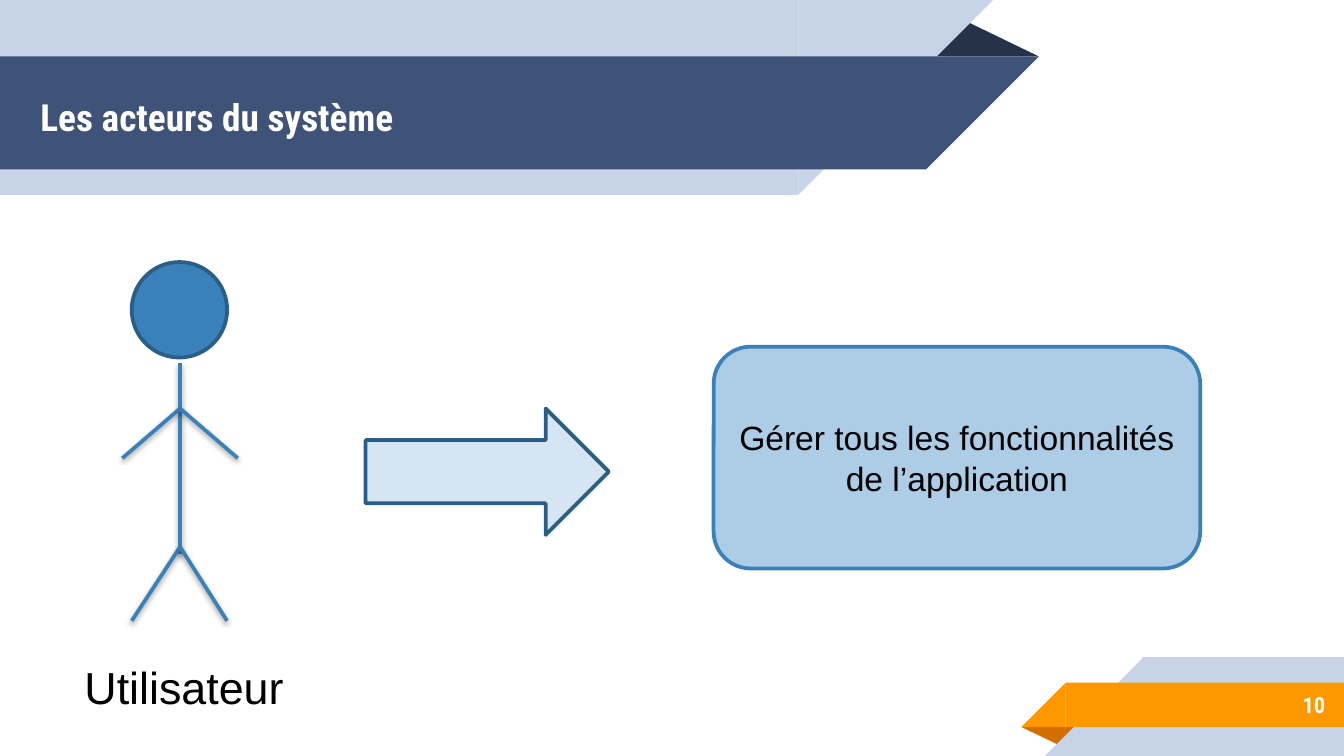
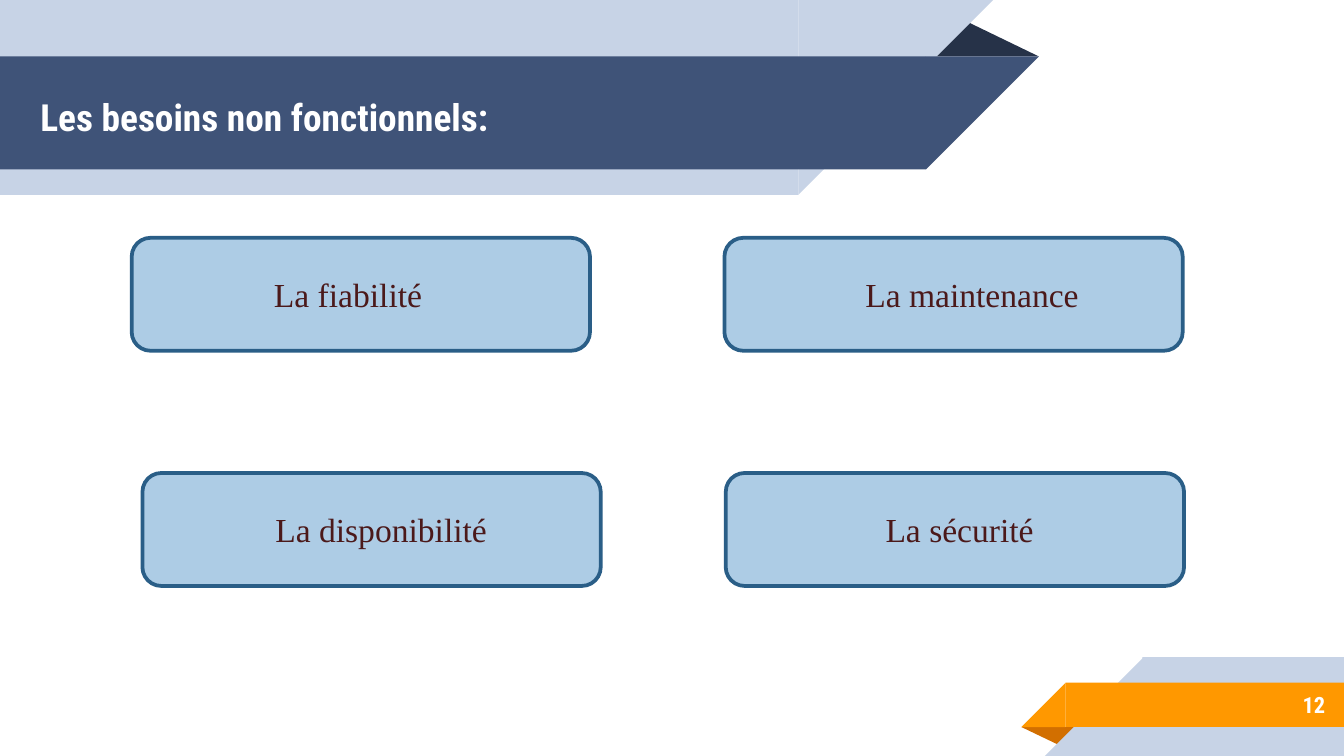
"""Build two slides on the actors and non-functional needs of a system."""
import pptx
import pptx.dml.color
import pptx.enum.shapes
import pptx.enum.text
import pptx.oxml
import pptx.oxml.ns
import pptx.util

Inches = pptx.util.Inches
Pt = pptx.util.Pt
RGBColor = pptx.dml.color.RGBColor
Shape = pptx.enum.shapes.MSO_SHAPE
Align = pptx.enum.text.PP_ALIGN
Anchor = pptx.enum.text.MSO_ANCHOR

WHITE = RGBColor(0xFF, 0xFF, 0xFF)
BLACK = RGBColor(0x00, 0x00, 0x00)
NAVY = RGBColor(0x3F, 0x53, 0x78)
DARK_NAVY = RGBColor(0x26, 0x32, 0x48)
PALE_BLUE = RGBColor(0xC7, 0xD3, 0xE6)
ORANGE = RGBColor(0xFF, 0x98, 0x00)
DARK_ORANGE = RGBColor(0xD2, 0x6F, 0x00)
BLUE = RGBColor(0x3A, 0x81, 0xBA)
DEEP_BLUE = RGBColor(0x2A, 0x5E, 0x87)
BOX_BLUE = RGBColor(0xAD, 0xCC, 0xE5)
ARROW_BLUE = RGBColor(0xD5, 0xE5, 0xF2)
MAROON = RGBColor(0x4B, 0x19, 0x1A)

HEADING_FONT = "Roboto Condensed"
BODY_FONT = "Arial"
NEED_FONT = "Times New Roman"

SLIDE_WIDTH = Inches(10)
SLIDE_HEIGHT = SLIDE_WIDTH * 9 // 16

FOLD_PEAK = 0.32
BANDS = [
    (Shape.ISOSCELES_TRIANGLE, (6.88, 0.14, 0.85, 0.28), DARK_NAVY, 0),
    (Shape.RECTANGLE, (0, 0, 5.94, 1.45), PALE_BLUE, 0),
    (Shape.RIGHT_TRIANGLE, (5.94, 0, 1.45, 1.45), PALE_BLUE, 90),
    (Shape.RECTANGLE, (0, 0.42, 6.89, 0.84), NAVY, 0),
    (Shape.RIGHT_TRIANGLE, (6.89, 0.42, 0.84, 0.84), NAVY, 90),
    (Shape.ISOSCELES_TRIANGLE, (7.6, 5.41, 0.43, 0.14), DARK_ORANGE, 180),
    (Shape.RECTANGLE, (8.5, 4.89, 1.5, 0.74), PALE_BLUE, 0),
    (Shape.RIGHT_TRIANGLE, (7.77, 4.89, 0.74, 0.74), PALE_BLUE, 270),
    (Shape.RECTANGLE, (7.93, 5.08, 2.07, 0.33), ORANGE, 0),
    (Shape.RIGHT_TRIANGLE, (7.6, 5.08, 0.33, 0.33), ORANGE, 270),
]

ACTORS_TITLE, ACTORS_NUMBER = "Les acteurs du système", "10"
ACTOR = "Utilisateur"
ACTOR_ROLE = ["Gérer tous les fonctionnalités", "de l’application"]
NECK, SHOULDER, HIP, SPINE_END = (1.34, 2.7), (1.34, 3.04), (1.34, 4.07), (1.34, 4.12)
LIMBS = [
    (NECK, SPINE_END),
    (HIP, (0.98, 4.62)),
    (HIP, (1.69, 4.62)),
    ((0.91, 3.41), SHOULDER),
    (SHOULDER, (1.77, 3.41)),
]

NEEDS_TITLE, NEEDS_NUMBER = "Les besoins non fonctionnels:", "12"
NEED_ROWS = [
    (1.77, [("La fiabilité", 0.98, 1.94, 1.41), ("La maintenance", 5.39, 6.34, 1.79)]),
    (3.52, [("La disponibilité", 1.06, 1.95, 2.02), ("La sécurité", 5.4, 6.49, 1.41)]),
]
NEED_WIDTH, NEED_HEIGHT, LABEL_HEIGHT = 3.41, 0.84, 0.4

SHADOW = (
    f'<a:effectLst {pptx.oxml.ns.nsdecls("a")}>'
    '<a:outerShdw blurRad="40000" dist="20000" dir="5400000" rotWithShape="0">'
    '<a:srgbClr val="000000"><a:alpha val="38000"/></a:srgbClr>'
    "</a:outerShdw></a:effectLst>"
)


def write_text(shape, lines, *, size, color, font=BODY_FONT, bold=False,
               align=Align.LEFT, anchor=Anchor.TOP, margin=0.05):
    frame = shape.text_frame
    frame.word_wrap = True
    frame.auto_size = pptx.enum.text.MSO_AUTO_SIZE.NONE
    frame.vertical_anchor = anchor
    frame.margin_left = frame.margin_right = Inches(0.1)
    frame.margin_top = frame.margin_bottom = Inches(margin)
    for index, line in enumerate(lines):
        paragraph = frame.add_paragraph() if index else frame.paragraphs[0]
        paragraph.alignment = align
        run = paragraph.add_run()
        run.text = line
        run.font.name = font
        run.font.size = Pt(size)
        run.font.bold = bold
        run.font.color.rgb = color


def add_text(slide, box, text, **text_format):
    write_text(slide.shapes.add_textbox(*map(Inches, box)), [text], **text_format)


def add_figure(slide, kind, box, fill, line=None):
    shape = slide.shapes.add_shape(kind, *map(Inches, box))
    shape.shadow.inherit = False
    shape.fill.solid()
    shape.fill.fore_color.rgb = fill
    if line is None:
        shape.line.fill.background()
    else:
        shape.line.color.rgb = line
        shape.line.width = Pt(2)
    return shape


def move_bands_to_layout(slide):
    layout_tree = slide.slide_layout.shapes.element
    for kind, box, color, rotation in BANDS:
        band = add_figure(slide, kind, box, color)
        band.rotation = rotation
        if kind == Shape.ISOSCELES_TRIANGLE:
            band.adjustments[0] = FOLD_PEAK
        layout_tree.append(band.element)


def add_titled_slide(presentation, title, number):
    slide = presentation.slides.add_slide(presentation.slide_layouts[5])
    heading = slide.shapes.title
    heading.left, heading.top, heading.width, heading.height = map(
        Inches, (0.2, 0.45, 5.75, 0.84))
    heading_format = dict(font=HEADING_FONT, color=WHITE, bold=True,
                          anchor=Anchor.MIDDLE, margin=0.1)
    write_text(heading, [title], size=20, **heading_format)
    add_text(slide, (8.33, 5.07, 1.63, 0.35), number, size=12,
             align=Align.RIGHT, **heading_format)
    return slide


def add_limb(slide, start, end):
    limb = slide.shapes.add_connector(
        pptx.enum.shapes.MSO_CONNECTOR.STRAIGHT, *map(Inches, start + end))
    limb.line.color.rgb = BLUE
    limb.line.width = Pt(2)
    limb.element.spPr.append(pptx.oxml.parse_xml(SHADOW))


def fill_actors(slide):
    add_figure(slide, Shape.OVAL, (0.98, 1.95, 0.71, 0.71), BLUE, DEEP_BLUE)
    for start, end in LIMBS:
        add_limb(slide, start, end)
    add_figure(slide, Shape.RIGHT_ARROW, (2.72, 3.04, 1.81, 0.94), ARROW_BLUE, DEEP_BLUE)
    role = add_figure(slide, Shape.ROUNDED_RECTANGLE, (5.31, 2.58, 3.62, 1.65), BOX_BLUE, BLUE)
    write_text(role, ACTOR_ROLE, size=18, color=BLACK,
               align=Align.CENTER, anchor=Anchor.MIDDLE)
    add_text(slide, (0.53, 4.86, 2.32, 0.5), ACTOR, size=24, color=BLACK)


def fill_needs(slide):
    for top, needs in NEED_ROWS:
        label_top = top + (NEED_HEIGHT - LABEL_HEIGHT) / 2
        for need, left, label_left, label_width in needs:
            add_figure(slide, Shape.ROUNDED_RECTANGLE,
                       (left, top, NEED_WIDTH, NEED_HEIGHT), BOX_BLUE, DEEP_BLUE)
            add_text(slide, (label_left, label_top, label_width, LABEL_HEIGHT), need,
                     size=18, color=MAROON, font=NEED_FONT)


def main():
    presentation = pptx.Presentation()
    presentation.slide_width = SLIDE_WIDTH
    presentation.slide_height = SLIDE_HEIGHT
    actors = add_titled_slide(presentation, ACTORS_TITLE, ACTORS_NUMBER)
    move_bands_to_layout(actors)
    fill_actors(actors)
    fill_needs(add_titled_slide(presentation, NEEDS_TITLE, NEEDS_NUMBER))
    presentation.save("out.pptx")


if __name__ == "__main__":
    main()
